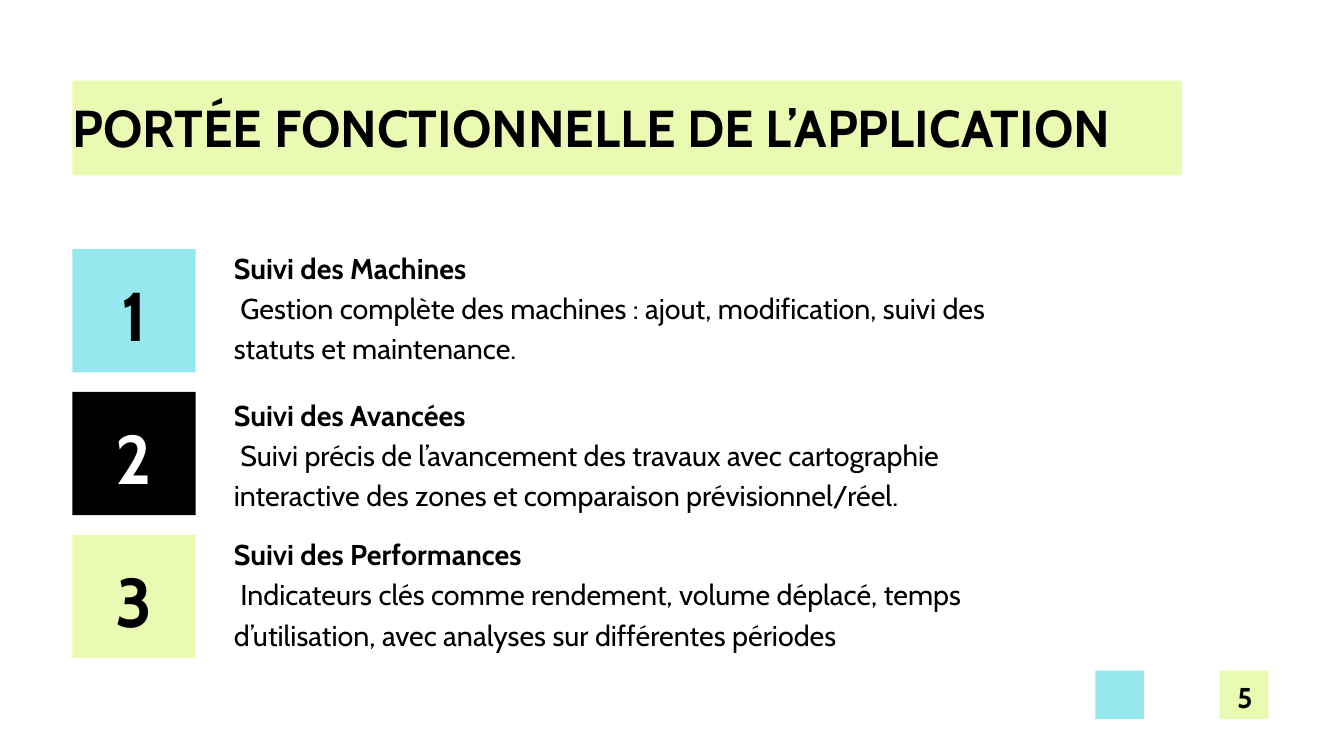
from dataclasses import dataclass

from pptx import Presentation
from pptx import util as u
from pptx.dml.color import RGBColor
from pptx.enum import shapes, text


@dataclass(frozen=True)
class Theme:
    font: str = "Cabin"
    lime: str = "EAFAB2"
    cyan: str = "96E8EE"
    black: str = "000000"
    white: str = "FFFFFF"
    # Type styles: (size, line spacing) in points
    title: tuple = (55.6, 60)
    number: tuple = (73.8, 103.4)
    body: tuple = (30.7, 43)


class SlideBuilder:
    def __init__(self, slide, theme):
        self.s = slide
        self.theme = theme

    def block(self, left, top, width, height, color):
        sp = self.s.shapes.add_shape(
            shapes.MSO_SHAPE.RECTANGLE,
            u.Cm(left), u.Cm(top), u.Cm(width), u.Cm(height))
        sp.shadow.inherit = False
        sp.fill.solid()
        sp.fill.fore_color.rgb = RGBColor.from_string(color)
        sp.line.fill.background()

    def label(self, left, top, width, height, lines, style, color=None,
              align=text.PP_ALIGN.LEFT):
        """Write one paragraph per line, the first one in bold."""
        sp = self.s.shapes.add_textbox(
            u.Cm(left), u.Cm(top), u.Cm(width), u.Cm(height))
        tf = sp.text_frame
        tf.word_wrap = True
        tf.margin_left = tf.margin_top = tf.margin_right = tf.margin_bottom = 0
        size, spacing = style
        for i, line in enumerate(lines):
            p = tf.add_paragraph() if i else tf.paragraphs[0]
            p.text = line
            p.alignment = align
            p.line_spacing = u.Pt(spacing)
            p.font.name = self.theme.font
            p.font.size = u.Pt(size)
            p.font.bold = i == 0
            p.font.color.rgb = RGBColor.from_string(color or self.theme.black)


def main():
    prs = Presentation()
    prs.slide_width, prs.slide_height = u.Cm(50.8), u.Cm(28.58)
    theme = Theme()
    b = SlideBuilder(prs.slides.add_slide(prs.slide_layouts[6]), theme)
    left, center = 2.74, text.PP_ALIGN.CENTER

    # Title band
    b.block(left, 3.05, 41.94, 3.58, theme.lime)
    b.label(left, 3.84, 41.8, 2.16,
            ["PORTÉE FONCTIONNELLE DE L’APPLICATION"], theme.title)

    # Numbered features: square fill, number colour, body top, heading, body
    features = [
        (theme.cyan, theme.black, 9.27, "Suivi des Machines",
         " Gestion complète des machines : ajout, modification, suivi des "
         "statuts et maintenance."),
        (theme.black, theme.white, 14.81, "Suivi des Avancées",
         " Suivi précis de l’avancement des travaux avec cartographie "
         "interactive des zones et comparaison prévisionnel/réel."),
        (theme.lime, theme.black, 20.09, "Suivi des Performances",
         " Indicateurs clés comme rendement, volume déplacé, temps "
         "d’utilisation, avec analyses sur différentes périodes"),
    ]
    side, pitch = 4.66, 5.4
    for i, (fill, ink, body_top, heading, body) in enumerate(features):
        top = 9.42 + i * pitch
        b.block(left, top, side, side, fill)
        b.label(left, top + 0.36, side, 3.5, [str(i + 1)], theme.number,
                ink, center)
        b.label(8.84, body_top, 31.5, 4.47, [heading, body], theme.body)

    # Footer squares and page number
    for x, color in ((41.4, theme.cyan), (46.1, theme.lime)):
        b.block(x, 25.35, 1.84, 1.84, color)
    b.label(46.15, 25.48, 1.8, 1.45, ["5"], theme.body, align=center)

    prs.save("out.pptx")


if __name__ == "__main__":
    main()
